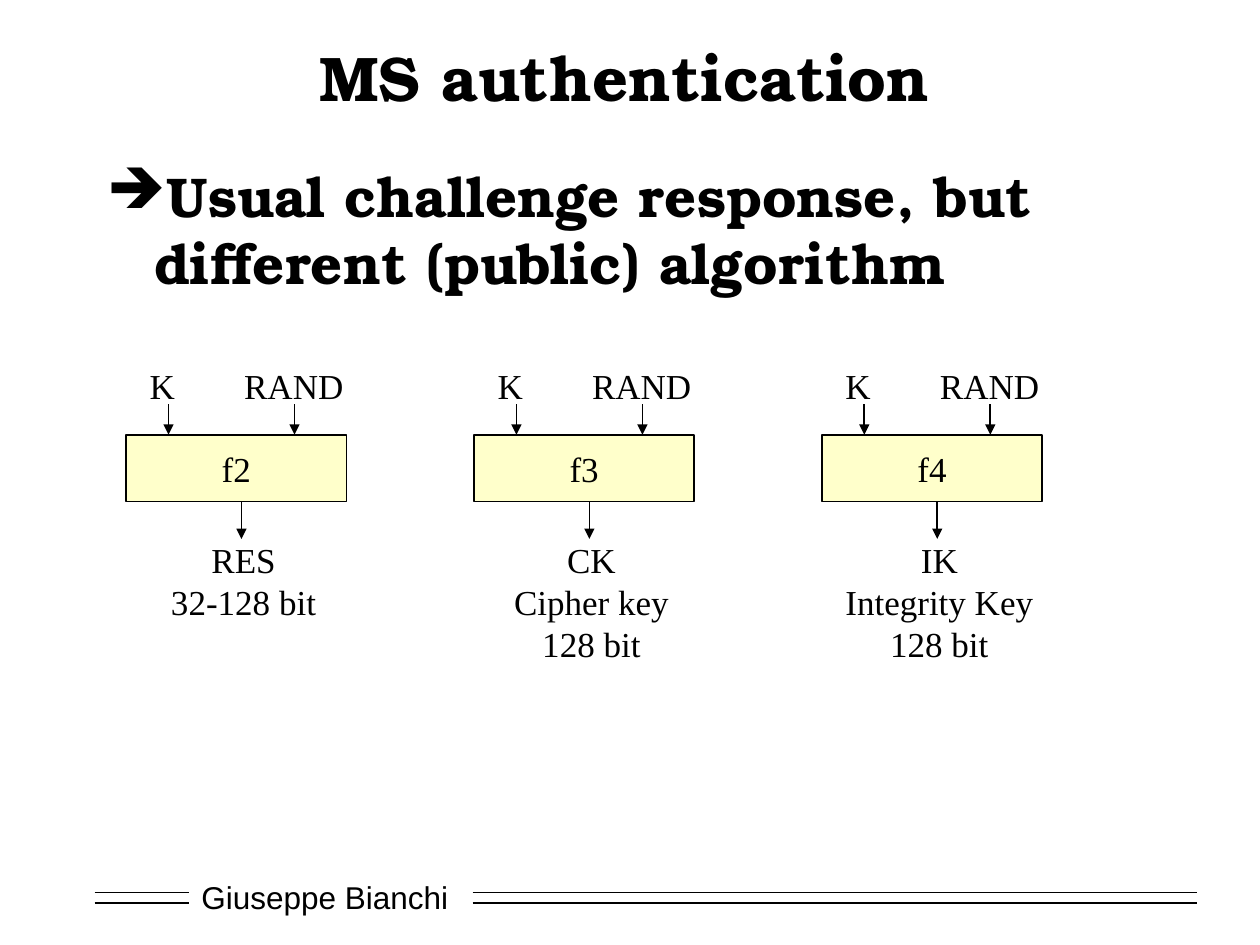
from dataclasses import dataclass

import pptx
import pptx.dml.color
import pptx.enum.shapes
import pptx.enum.text
import pptx.oxml
import pptx.oxml.ns
import pptx.util
from lxml import etree

Pt = pptx.util.Pt
Align = pptx.enum.text.PP_ALIGN
Anchor = pptx.enum.text.MSO_ANCHOR
qn = pptx.oxml.ns.qn

INK = "000000"
PAPER = "FFFFFF"
CREAM = "FFFF99"
SERIF = "Times New Roman"
BOLD_FACE = "TeX Gyre Bonum"

LEFT = 72
STEP = 198.8
BOX_TOP = 248.4
BOX_WIDTH = 126
BOX_HEIGHT = 38.2


@dataclass
class Block:
    name: str
    output: str


@dataclass
class Input:
    name: str
    text_x: float
    width: float
    arrow_x: float


BLOCKS = [
    Block("f2", "RES\n32-128 bit"),
    Block("f3", "CK\nCipher key\n128 bit"),
    Block("f4", "IK\nIntegrity Key\n128 bit"),
]
INPUTS = [Input("K", 6.4, 29, 24.3), Input("RAND", 60.4, 71, 96.3)]


def color(code: str) -> pptx.dml.color.RGBColor:
    return pptx.dml.color.RGBColor.from_string(code)


def place(shape, x: float, y: float, width: float, height: float) -> None:
    shape.left, shape.top = Pt(x), Pt(y)
    shape.width, shape.height = Pt(width), Pt(height)


def write(shape, text: str, *, font: str = SERIF, size: float = 20,
          bold: bool = False, align=Align.LEFT, anchor=Anchor.TOP,
          wrap: bool = False, before: float = 0) -> None:
    """Fill a shape with text, one paragraph to a line."""
    frame = shape.text_frame
    frame.text = text
    frame.auto_size = pptx.enum.text.MSO_AUTO_SIZE.NONE
    frame.word_wrap = wrap
    frame.vertical_anchor = anchor
    for para in frame.paragraphs:
        para.alignment = align
        para.space_before = Pt(before)
        for run in para.runs:
            run.font.name = font
            run.font.size = Pt(size)
            run.font.bold = bold
            run.font.color.rgb = color(INK)


def add_text(slide, text: str, x: float, y: float, width: float,
             height: float, **style):
    box = slide.shapes.add_textbox(Pt(x), Pt(y), Pt(width), Pt(height))
    write(box, text, **style)
    return box


def add_line(slide, x1: float, y1: float, x2: float, y2: float,
             head: bool = False) -> None:
    line = slide.shapes.add_connector(
        pptx.enum.shapes.MSO_CONNECTOR.STRAIGHT,
        Pt(x1), Pt(y1), Pt(x2), Pt(y2))
    line.line.color.rgb = color(INK)
    line.line.width = Pt(1)
    if head:
        etree.SubElement(line.line._get_or_add_ln(), qn("a:tailEnd"),
                         type="triangle")
    etree.SubElement(line._element.spPr, qn("a:effectLst"))


def add_box(slide, x: float, y: float, width: float, height: float,
            fill: str):
    box = slide.shapes.add_shape(
        pptx.enum.shapes.MSO_SHAPE.RECTANGLE,
        Pt(x), Pt(y), Pt(width), Pt(height))
    box.shadow.inherit = False
    box.fill.solid()
    box.fill.fore_color.rgb = color(fill)
    box.line.fill.background()
    return box


def add_bullet(para, mark: str, indent: float) -> None:
    """Give a paragraph a hanging bullet."""
    props = para._p.get_or_add_pPr()
    props.set("marL", str(Pt(indent)))
    props.set("indent", str(-Pt(indent)))
    tint = etree.SubElement(props, qn("a:buClr"))
    etree.SubElement(tint, qn("a:srgbClr"), val=INK)
    etree.SubElement(props, qn("a:buChar"), char=mark)


def add_block(slide, block: Block, x: float) -> None:
    """Draw one function with its inputs and its output."""
    base = BOX_TOP + BOX_HEIGHT
    for item in INPUTS:
        add_line(slide, x + item.arrow_x, 231, x + item.arrow_x, BOX_TOP,
                 head=True)
        add_text(slide, item.name, x + item.text_x, 204.6, item.width, 31.5)

    box = add_box(slide, x, BOX_TOP, BOX_WIDTH, BOX_HEIGHT, CREAM)
    box.line.color.rgb = color(INK)
    box.line.width = Pt(1)
    shade = box._element.spPr.find(qn("a:solidFill"))[0]
    etree.SubElement(shade, qn("a:alpha"), val="50000")
    write(box, block.name, align=Align.CENTER, anchor=Anchor.MIDDLE)

    add_line(slide, x + 66, base, x + 66, 308, head=True)
    rows = block.output.count("\n") + 1
    add_text(slide, block.output, x + 6.2, 304, 122, 7.5 + 24 * rows,
             align=Align.CENTER)


def add_foot(slide) -> None:
    name = add_box(slide, 108, 498, 156, 29, PAPER)
    write(name, "Giuseppe Bianchi", font="Arial", size=18,
          anchor=Anchor.MIDDLE, wrap=True, before=11.2)
    for y in (510, 516):
        for start, end in ((54, 108), (270, 684)):
            add_line(slide, start, y, end, y)


def main() -> None:
    deck = pptx.Presentation()
    deck.slide_width, deck.slide_height = Pt(720), Pt(540)
    slide = deck.slides.add_slide(deck.slide_layouts[5])
    add_foot(slide)

    title = slide.shapes.title
    place(title, 54, 18, 606, 51)
    write(title, "MS authentication", font=BOLD_FACE, size=36, bold=True,
          align=Align.CENTER, anchor=Anchor.MIDDLE, wrap=True)

    body = add_text(
        slide, "Usual challenge response, but different (public) algorithm",
        54, 88.5, 606, 392, font=BOLD_FACE, size=32, bold=True, wrap=True,
        before=8)
    add_bullet(body.text_frame.paragraphs[0], "➔", 27)

    for index, block in enumerate(BLOCKS):
        add_block(slide, block, LEFT + index * STEP)
    deck.save("out.pptx")


if __name__ == "__main__":
    main()
